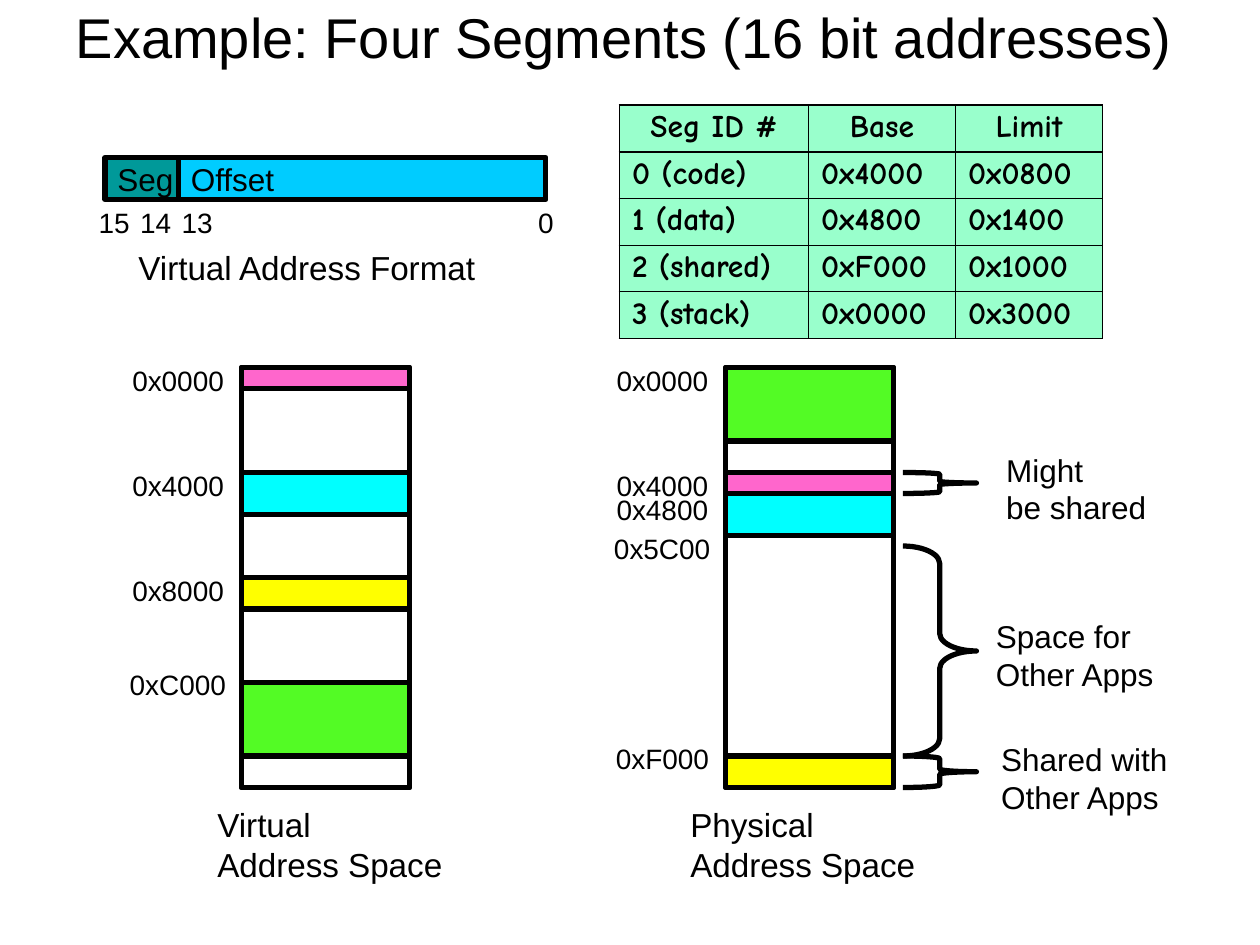
from lxml import etree
from pptx import Presentation, util as u
from pptx.dml.color import RGBColor
from pptx.enum import shapes, text
from pptx.oxml import ns

COLORS = {
    "ink": "000000", "mint": "99FFCC", "offset": "00CCFF", "seg": "009999",
    "code": "FF66CC", "data": "00FFFF", "shared": "FFFF00", "stack": "53FB25",
}
UNIT = 1 / 12        # inches per step of the layout grid
COLUMN_STEPS = 40    # height of a whole address space
COLUMN_WIDTH = 16 * UNIT
COLUMN_TOP = 35 * UNIT


def color(name):
    return RGBColor.from_string(COLORS[name])


def write(frame, content, size=16, font="Arial", bold=None, align=None,
          anchor=text.MSO_ANCHOR.TOP):
    """Fill a text frame, one paragraph for each line of content."""
    frame.vertical_anchor = anchor
    for index, line in enumerate(content.split("\n")):
        para = frame.paragraphs[0] if index == 0 else frame.add_paragraph()
        para.alignment = align
        span = para.add_run()
        span.text = line
        span.font.size = u.Pt(size)
        span.font.name = font
        span.font.bold = bold
        span.font.color.rgb = color("ink")


def add_label(page, content, left, top, width, height=0.36, fit=True, **style):
    box = page.shapes.add_textbox(*map(u.Inches, (left, top, width, height)))
    frame = box.text_frame
    frame.word_wrap = not fit
    if fit:
        frame.auto_size = text.MSO_AUTO_SIZE.SHAPE_TO_FIT_TEXT
    write(frame, content, **style)


def add_block(page, left, top, width, height, fill=None,
              kind=shapes.MSO_SHAPE.RECTANGLE):
    box = page.shapes.add_shape(kind, *map(u.Inches, (left, top, width, height)))
    box.shadow.inherit = False
    if fill:
        box.fill.solid()
        box.fill.fore_color.rgb = color(fill)
    else:
        box.fill.background()
    box.line.color.rgb = color("ink")
    box.line.width = u.Pt(3)
    return box


def set_borders(cell, **widths):
    """Draw cell borders; widths are in points, keyed L, R, T, B."""
    properties = cell._tc.get_or_add_tcPr()
    for side, width in widths.items():
        line = etree.SubElement(properties, ns.qn(f"a:ln{side}"), w=str(u.Pt(width)))
        fill = etree.SubElement(line, ns.qn("a:solidFill"))
        etree.SubElement(fill, ns.qn("a:srgbClr"), val=COLORS["ink"])


def add_segment_table(page, left, top):
    rows = [
        ("Seg ID #", "Base", "Limit"),
        ("0 (code)", "0x4000", "0x0800"),
        ("1 (data)", "0x4800", "0x1400"),
        ("2 (shared)", "0xF000", "0x1000"),
        ("3 (stack)", "0x0000", "0x3000"),
    ]
    widths = (18 * UNIT, 14 * UNIT, 14 * UNIT)
    outer, inner, rule = 1.08, 0.45, 1.47
    last_row, last_column = len(rows) - 1, len(widths) - 1
    table = page.shapes.add_table(
        len(rows), len(widths), u.Inches(left), u.Inches(top),
        u.Inches(sum(widths)), u.Inches(1.84)).table
    table.first_row = table.horz_banding = False
    for column, width in zip(table.columns, widths):
        column.width = u.Inches(width)
    for r, row in enumerate(rows):
        for c, content in enumerate(row):
            cell = table.cell(r, c)
            write(cell.text_frame, content, size=18, font="Comic Neue", bold=True,
                  align=text.PP_ALIGN.LEFT if r else text.PP_ALIGN.CENTER)
            cell.text_frame.paragraphs[0].line_spacing = 0.9
            set_borders(
                cell,
                L=inner if c else outer,
                R=outer if c == last_column else inner,
                T={0: outer, 1: rule}.get(r, inner),
                B={0: rule, last_row: outer}.get(r, inner))
            cell.fill.solid()
            cell.fill.fore_color.rgb = color("mint")


def add_address_format(page, left, top):
    # Offset first, so that the Seg field lies over the shared edge
    height = 4 * UNIT
    for name, first, steps, fill in [("Offset", 7, 35, "offset"), ("Seg", 0, 7, "seg")]:
        field = add_block(page, left + first * UNIT, top, steps * UNIT, height, fill)
        field.text_frame.word_wrap = False
        write(field.text_frame, name, size=18, align=text.PP_ALIGN.LEFT,
              anchor=text.MSO_ANCHOR.MIDDLE)
    # Bit numbers
    for bit, shift in [("15", -0.15), ("14", 0.18), ("13", 0.51), ("0", 3.34)]:
        add_label(page, bit, left + shift, top + height, 0.23 + 0.11 * len(bit))
    add_label(page, "Virtual Address Format", left + 2 * UNIT, top + 8 * UNIT, 2.89, 0.41, size=19)


def add_address_space(page, left, top, name, name_shift, segments, addresses):
    """Segments are (fill, first step, steps); addresses are (text, step, width)."""
    add_block(page, left, top, COLUMN_WIDTH, COLUMN_STEPS * UNIT)
    for fill, first, steps in segments:
        add_block(page, left, top + first * UNIT, COLUMN_WIDTH, steps * UNIT, fill)
    for address, step, width in addresses:
        add_label(page, address, left - 0.5 - width / 2, top + step * UNIT, width)
    add_label(page, f"{name}\nAddress Space", left + name_shift, top + 41 * UNIT, 1.99, 0.73, size=19)


def add_braces(page, left, top):
    width = 7 * UNIT
    notes = [  # first step, steps, note, its shift from the brace, top and width
        (17, 20, "Space for\nOther Apps", 0.64, 1.93, 1.46),
        (10, 2, "Might\nbe shared", 0.72, 0.61, 1.31),
        (37, 3, "Shared with\nOther Apps", 0.68, 2.91, 1.52),
    ]
    for first, steps, note, shift, note_top, note_width in notes:
        height = steps * UNIT
        brace = add_block(page, left, top + first * UNIT, width, height,
                          kind=shapes.MSO_SHAPE.RIGHT_BRACE)
        brace.adjustments[0] = height / 12 / min(width, height)
        add_label(page, note, left + shift, top + note_top, note_width, 0.7, size=18)


def main():
    deck = Presentation()
    deck.slide_width, deck.slide_height = u.Inches(10), u.Inches(7.5)
    page = deck.slides.add_slide(deck.slide_layouts[6])

    # Title
    add_label(page, "Example: Four Segments (16 bit addresses)", 0.33, 0, 9.25, 0.58, fit=False,
              size=32, align=text.PP_ALIGN.CENTER, anchor=text.MSO_ANCHOR.MIDDLE)

    # Segment table and address layout
    add_segment_table(page, 59 * UNIT, 10 * UNIT)
    add_address_format(page, 10 * UNIT, 15 * UNIT)

    # Memory columns
    add_address_space(
        page, 23 * UNIT, COLUMN_TOP, "Virtual", -0.29,
        [("code", 0, 2), ("data", 10, 4), ("stack", 30, 7), (None, 30, 10), ("shared", 20, 3)],
        [("0x4000", 9, 0.93), ("0x0000", -1, 0.93), ("0x8000", 19, 0.93), ("0xC000", 28, 0.97)])
    add_address_space(
        page, 5.76, COLUMN_TOP, "Physical", -0.38,
        [("code", 10, 2), ("data", 12, 4), ("stack", 0, 7), ("shared", 37, 3)],
        [("0x0000", -1, 0.93), ("0x4800", 11.3, 0.93), ("0x5C00", 15, 0.97),
         ("0x4000", 9, 0.93), ("0xF000", 35, 0.94)])

    # Remarks on physical memory
    add_braces(page, 86 * UNIT, COLUMN_TOP)

    deck.save("out.pptx")


if __name__ == "__main__":
    main()
